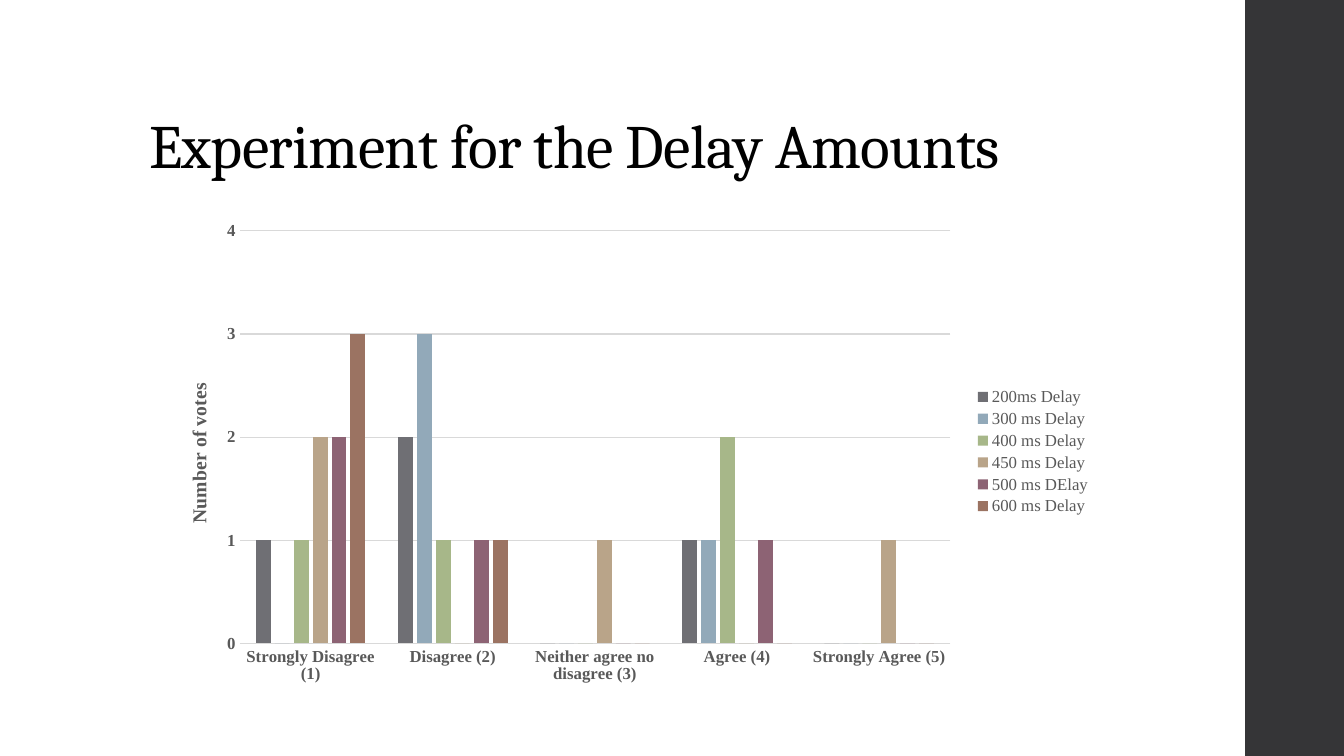
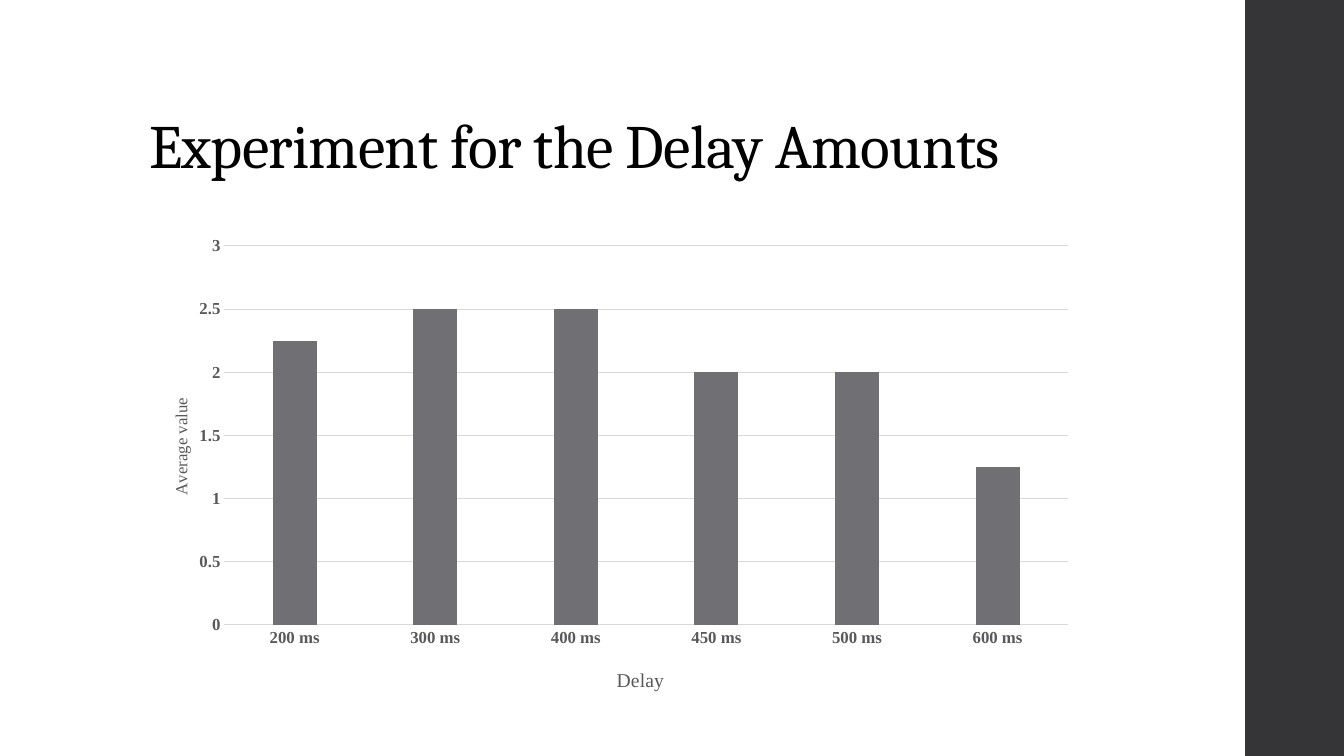
from dataclasses import dataclass

from lxml import etree
from pptx import Presentation
from pptx.chart.data import CategoryChartData
from pptx.dml.color import RGBColor
from pptx.enum.chart import XL_CHART_TYPE, XL_LEGEND_POSITION, XL_TICK_MARK
from pptx.enum.shapes import MSO_SHAPE
from pptx.enum.text import MSO_ANCHOR, MSO_AUTO_SIZE, PP_ALIGN
from pptx.oxml.ns import qn
from pptx.util import Inches, Pt

COLUMNS = XL_CHART_TYPE.COLUMN_CLUSTERED
LEGEND_RIGHT = XL_LEGEND_POSITION.RIGHT
NO_TICKS = XL_TICK_MARK.NONE
RECTANGLE = MSO_SHAPE.RECTANGLE
BOTTOM = MSO_ANCHOR.BOTTOM
NO_AUTOFIT = MSO_AUTO_SIZE.NONE
LEFT = PP_ALIGN.LEFT

BLACK = RGBColor(0x00, 0x00, 0x00)
BAND_COLOR = RGBColor(0x35, 0x35, 0x37)
LABEL_COLOR = RGBColor(0x59, 0x59, 0x59)
GRID_COLOR = RGBColor(0xD9, 0xD9, 0xD9)
GRAY = RGBColor(0x6F, 0x6F, 0x74)
BLUE = RGBColor(0x92, 0xA9, 0xB9)
GREEN = RGBColor(0xA7, 0xB7, 0x89)
SAND = RGBColor(0xB9, 0xA4, 0x89)
PLUM = RGBColor(0x8D, 0x63, 0x74)
BROWN = RGBColor(0x9B, 0x73, 0x62)

SLIDE_WIDTH, SLIDE_HEIGHT = Inches(13.33), Inches(7.5)
BAND_LEFT = Inches(12.35)
CHART_WIDTH, CHART_HEIGHT = Inches(9.4), Inches(4.76)
TITLE = "Experiment for the Delay Amounts"
TITLE_PLACE = {"left": Inches(1.38), "top": Inches(0.4),
               "width": Inches(10.6), "height": Inches(1.45)}
TITLE_FONT = {"name": "Cambria", "size": Pt(44), "bold": False}
LABEL_FONT = {"name": "Times New Roman", "size": Pt(12), "bold": False}
TICK_LABEL_FONT = LABEL_FONT | {"bold": True}


@dataclass(frozen=True)
class Votes:
    name: str
    values: tuple
    color: RGBColor


@dataclass(frozen=True)
class AxisTitle:
    text: str
    size: int
    bold: bool
    place: dict  # fractions of the chart
    vertical: bool = False


@dataclass(frozen=True)
class DelayChart:
    left: float
    top: float
    categories: tuple
    series: tuple
    plot_place: dict  # fractions of the chart
    maximum: float
    major_unit: float
    value_title: AxisTitle
    category_title: AxisTitle | None = None
    legend: bool = False


CHARTS = (
    DelayChart(
        1.53, 2.1,
        ("Strongly Disagree (1)", "Disagree (2)", "Neither agree no disagree (3)",
         "Agree (4)", "Strongly Agree (5)"),
        (Votes("200ms Delay", (1, 2, 0, 1, 0), GRAY),
         Votes("300 ms Delay", (0, 3, 0, 1, 0), BLUE),
         Votes("400 ms Delay", (1, 1, 0, 2, 0), GREEN),
         Votes("450 ms Delay", (2, 0, 1, 0, 1), SAND),
         Votes("500 ms DElay", (2, 1, 0, 1, 0), PLUM),
         Votes("600 ms Delay", (3, 1, 0, 0, 0), BROWN)),
        {"x": 0.09, "y": 0.04, "w": 0.75, "h": 0.86}, 4, 1,
        AxisTitle("Number of votes", 14, True, {"x": 0.03, "y": 0.35}, vertical=True),
        legend=True,
    ),
    DelayChart(
        1.38, 2.25,
        ("200 ms", "300 ms", "400 ms", "450 ms", "500 ms", "600 ms"),
        (Votes("Series 1", (2.25, 2.5, 2.5, 2, 2, 1.25), GRAY),),
        {"x": 0.09, "y": 0.04, "w": 0.89, "h": 0.79}, 3, 0.5,
        AxisTitle("Average value", 12, False, {"x": 0.03, "y": 0.35}, vertical=True),
        AxisTitle("Delay", 14, False, {"x": 0.5, "y": 0.91}),
    ),
)


def apply(target, values: dict) -> None:
    for name, value in values.items():
        setattr(target, name, value)


def style_font(font, values: dict, color: RGBColor) -> None:
    apply(font, values)
    font.color.rgb = color


def style_line(line) -> None:
    line.color.rgb = GRID_COLOR
    line.width = Pt(0.75)


def set_layout(parent, index: int, place: dict) -> None:
    """Give a chart part a fixed place, in fractions of the chart."""
    for old in parent.findall(qn("c:layout")):
        parent.remove(old)
    layout = etree.Element(qn("c:layout"))
    manual = etree.SubElement(layout, qn("c:manualLayout"))
    entries = {"layoutTarget": "inner"} if "w" in place else {}
    entries |= {"xMode": "edge", "yMode": "edge"} | place
    for tag, value in entries.items():
        etree.SubElement(manual, qn(f"c:{tag}")).set("val", str(value))
    parent.insert(index, layout)


def add_axis_title(axis, title: AxisTitle) -> None:
    frame = axis.axis_title.text_frame
    frame.text = title.text
    font_values = LABEL_FONT | {"size": Pt(title.size), "bold": title.bold}
    style_font(frame.paragraphs[0].runs[0].font, font_values, LABEL_COLOR)
    if title.vertical:
        body = frame._txBody.find(qn("a:bodyPr"))
        apply_rotation = {"rot": "-5400000", "vert": "horz"}
        for name, value in apply_rotation.items():
            body.set(name, value)
    set_layout(axis.axis_title._element, 1, title.place)


def add_frame(slide) -> None:
    # Side band
    band = slide.shapes.add_shape(
        RECTANGLE, BAND_LEFT, 0, SLIDE_WIDTH - BAND_LEFT, SLIDE_HEIGHT)
    band.shadow.inherit = False
    band.fill.solid()
    band.fill.fore_color.rgb = BAND_COLOR
    band.line.fill.background()

    # Title
    title = slide.shapes.title
    apply(title, TITLE_PLACE)
    frame = title.text_frame
    frame.text = TITLE
    apply(frame, {"auto_size": NO_AUTOFIT, "word_wrap": True, "vertical_anchor": BOTTOM})
    paragraph = frame.paragraphs[0]
    apply(paragraph, {"alignment": LEFT, "line_spacing": 0.9})
    run = paragraph.runs[0]
    style_font(run.font, TITLE_FONT, BLACK)
    run._r.get_or_add_rPr().set("spc", "-50")


def add_delay_chart(slide, content: DelayChart) -> None:
    data = CategoryChartData()
    data.categories = content.categories
    for votes in content.series:
        data.add_series(votes.name, votes.values)
    chart = slide.shapes.add_chart(
        COLUMNS, Inches(content.left), Inches(content.top),
        CHART_WIDTH, CHART_HEIGHT, data).chart
    chart.has_title = False
    style_font(chart.font, LABEL_FONT, BLACK)

    # Columns
    plot = chart.plots[0]
    apply(plot, {"gap_width": 219, "overlap": -27, "vary_by_categories": False})
    for series, votes in zip(plot.series, content.series):
        series.format.fill.solid()
        series.format.fill.fore_color.rgb = votes.color
    set_layout(chart._chartSpace.chart.plotArea, 0, content.plot_place)

    # Axes
    categories, values = chart.category_axis, chart.value_axis
    for axis, title in ((categories, content.category_title),
                        (values, content.value_title)):
        apply(axis, {"major_tick_mark": NO_TICKS, "minor_tick_mark": NO_TICKS})
        style_font(axis.tick_labels.font, TICK_LABEL_FONT, LABEL_COLOR)
        if title:
            add_axis_title(axis, title)
    style_line(categories.format.line)
    apply(values, {"minimum_scale": 0, "maximum_scale": content.maximum,
                   "major_unit": content.major_unit, "has_major_gridlines": True})
    values.format.line.fill.background()
    style_line(values.major_gridlines.format.line)

    # Legend
    chart.has_legend = content.legend
    if content.legend:
        apply(chart.legend, {"position": LEGEND_RIGHT, "include_in_layout": False})
        style_font(chart.legend.font, LABEL_FONT, LABEL_COLOR)


def main() -> None:
    deck = Presentation()
    apply(deck, {"slide_width": SLIDE_WIDTH, "slide_height": SLIDE_HEIGHT})
    title_only = deck.slide_layouts[5]
    for content in CHARTS:
        slide = deck.slides.add_slide(title_only)
        add_frame(slide)
        add_delay_chart(slide, content)
    deck.save("out.pptx")


if __name__ == "__main__":
    main()
